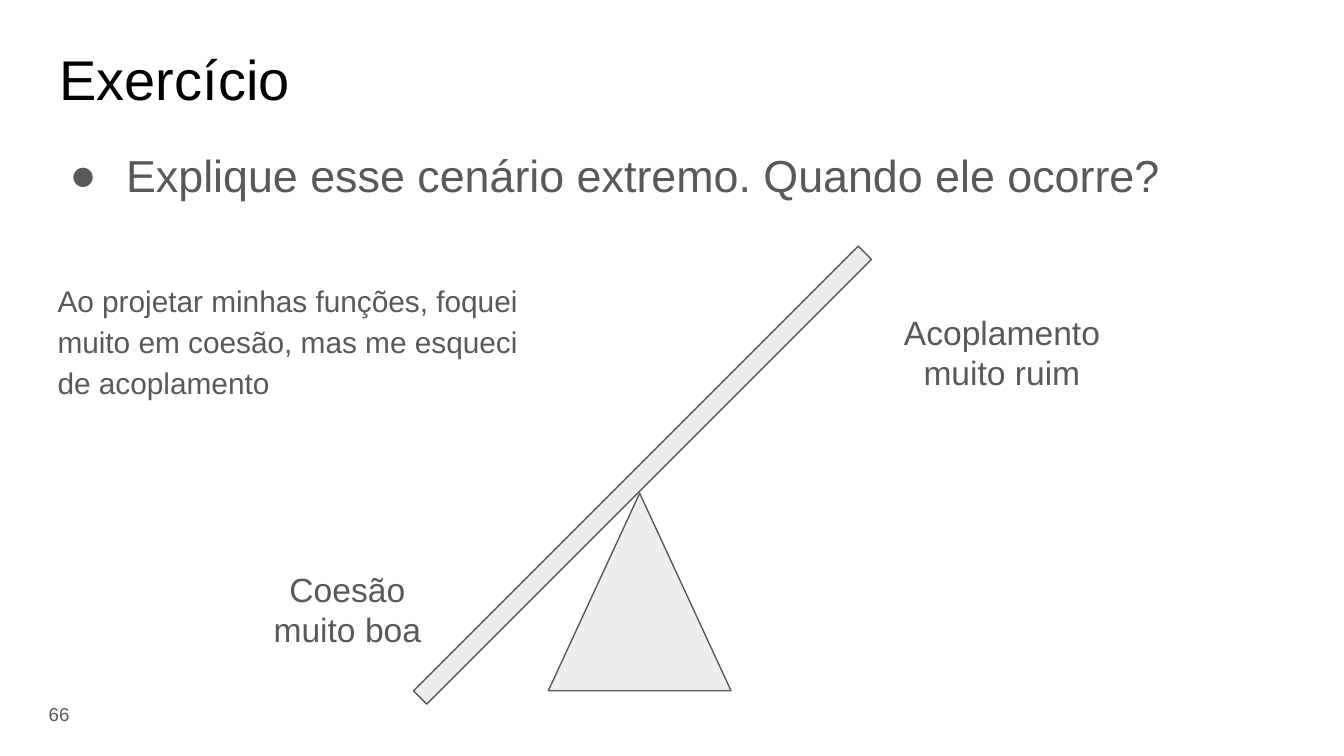
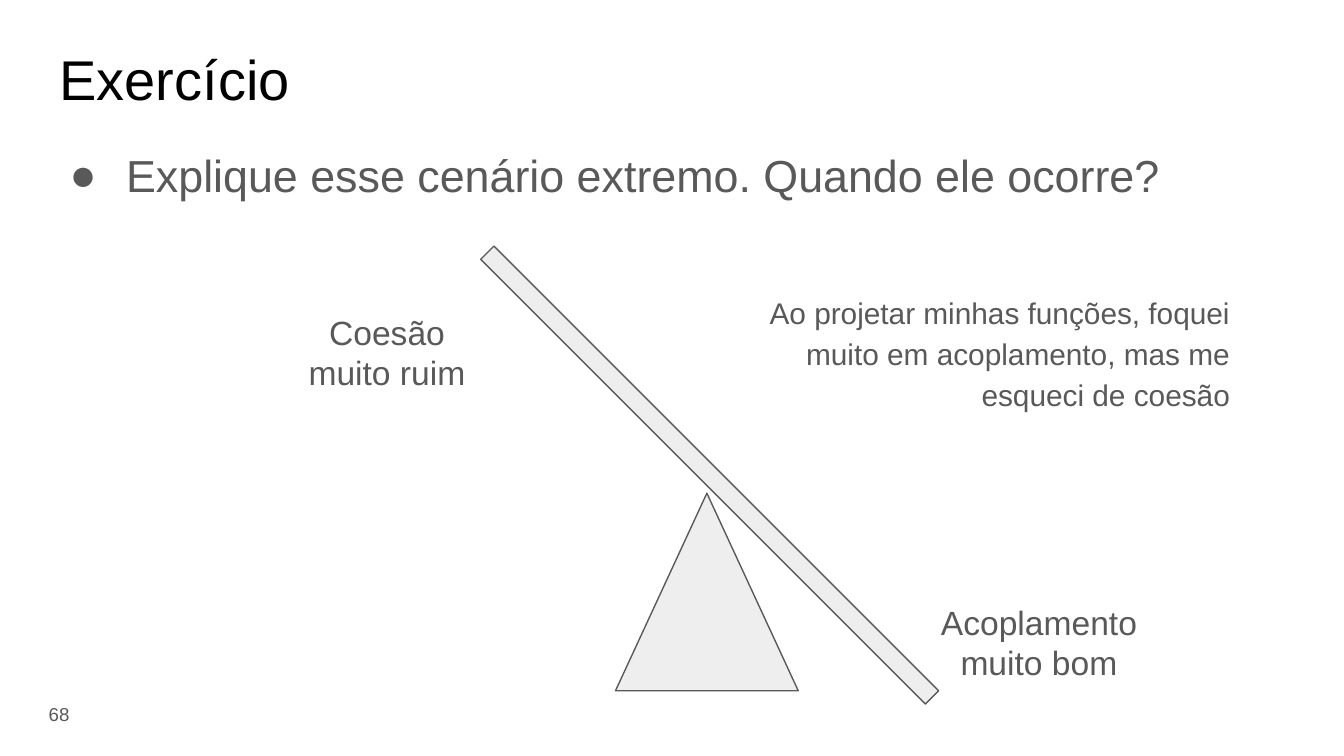
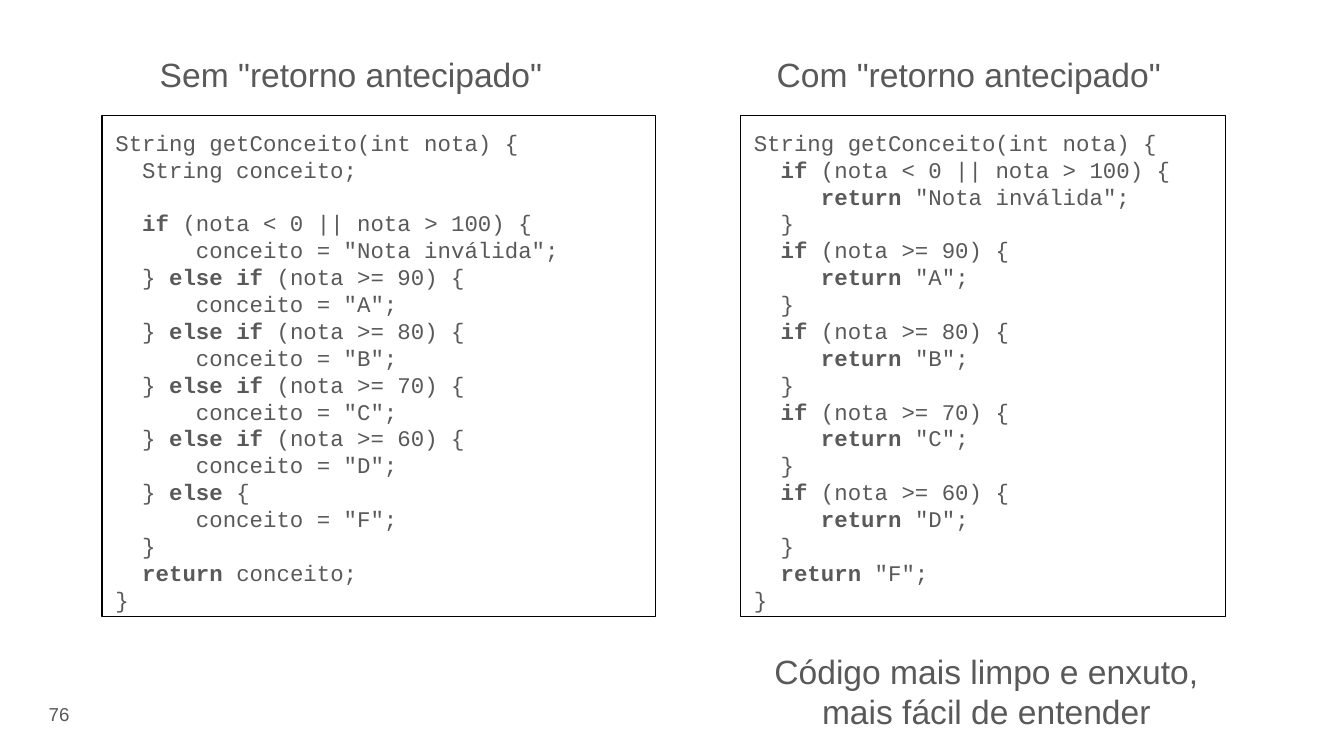
from lxml import etree
from pptx import Presentation
from pptx import util as u
from pptx.dml.color import RGBColor
from pptx.enum import shapes, text
from pptx.oxml.ns import qn

INK = RGBColor(0x59, 0x59, 0x59)
BLACK = RGBColor(0, 0, 0)
PALE = RGBColor(0xEE, 0xEE, 0xEE)
SANS, MONO = "Arial", "Courier New"
LEFT, CENTER, RIGHT = text.PP_ALIGN.LEFT, text.PP_ALIGN.CENTER, text.PP_ALIGN.RIGHT
TOP, MIDDLE = text.MSO_ANCHOR.TOP, text.MSO_ANCHOR.MIDDLE
CELL = u.Inches(0.1)
COLUMNS, ROWS = 100, 56.25
GRADES = [(90, "A"), (80, "B"), (70, "C"), (60, "D")]


def cells(*counts):
    return [u.Emu(round(count * CELL)) for count in counts]


def write(box, words, size=18, font=SANS, color=INK, align=LEFT, spacing=1.0,
          anchor=TOP, bullet=None):
    """Fill a box with lines of text, where *stars* mark bold spans."""
    frame = box.text_frame
    frame.word_wrap = True
    frame.vertical_anchor = anchor
    frame.margin_left = frame.margin_right = CELL
    frame.margin_top = frame.margin_bottom = CELL
    for index, line in enumerate(words.split("\n")):
        para = frame.paragraphs[0] if index == 0 else frame.add_paragraph()
        para.alignment, para.line_spacing = align, spacing
        if bullet:
            layout = para._p.get_or_add_pPr()
            layout.set("marL", str(u.Inches(0.5)))
            layout.set("indent", str(-u.Inches(0.42)))
            tint = etree.SubElement(layout, qn("a:buClr"))
            etree.SubElement(tint, qn("a:srgbClr"), val=str(color))
            etree.SubElement(layout, qn("a:buFont"), typeface=font)
            etree.SubElement(layout, qn("a:buChar"), char=bullet)
        for place, part in enumerate(line.split("*")):
            if part:
                span = para.add_run()
                span.text = part
                span.font.name, span.font.size = font, u.Pt(size)
                span.font.color.rgb = color
                span.font.bold = place % 2 == 1
        if not line:
            etree.SubElement(para._p, qn("a:endParaRPr"), sz=str(size * 100))


class Lesson:
    """Hold the deck, its shared style and the current page."""

    def __init__(self):
        self.deck = Presentation()
        self.deck.slide_width, self.deck.slide_height = cells(COLUMNS, ROWS)
        self.page = None

    def start(self, number):
        self.page = self.deck.slides.add_slide(self.deck.slide_layouts[6])
        self.label((0.15, 51, 6, 4.3), str(number), size=10, align=RIGHT, anchor=MIDDLE)

    def label(self, area, words, **style):
        write(self.page.shapes.add_textbox(*cells(*area)), words, **style)

    def shape(self, kind, area, fill=None, line=INK, turn=0):
        shape = self.page.shapes.add_shape(kind, *cells(*area))
        shape.shadow.inherit = False
        shape.rotation = turn
        if fill is None:
            shape.fill.background()
        else:
            shape.fill.solid()
            shape.fill.fore_color.rgb = fill
        shape.line.color.rgb, shape.line.width = line, u.Pt(0.75)
        return shape

    def exercise(self, number):
        self.start(number)
        self.label((3.45, 1.55, 93.2, 6.3), "Exercício", size=30, color=BLACK, spacing=1.15)
        self.label((3.4, 9.4, 93.2, 7.7), "Explique esse cenário extremo. Quando ele ocorre?",
                   size=24, spacing=1.15, bullet="●")

    def seesaw(self, pivot, turn):
        kinds = shapes.MSO_SHAPE
        self.shape(kinds.ISOSCELES_TRIANGLE, (pivot - 6.8, 36.7, 13.6, 14.7), PALE)
        self.shape(kinds.RECTANGLE, (pivot - 23.2, 34.65, 46.8, 1.4), PALE, turn=turn)

    def story(self, left, top, words, align=LEFT):
        self.label((left, top, 38.3, 10.9), words, size=16, spacing=1.15, align=align)

    def verdict(self, left, top, width, words):
        self.label((left, top, width, 8.1), words, align=CENTER)

    def code(self, left, width, lines):
        box = self.shape(shapes.MSO_SHAPE.RECTANGLE, (left, 8.6, width, 37.3), line=BLACK)
        write(box, "\n".join(lines), size=12, font=MONO)

    def heading(self, left, words):
        self.label((left, 3, 34.8, 5), words)


def single_return():
    lines = ["String getConceito(int nota) {", "  String conceito;", "",
             "  *if* (nota < 0 || nota > 100) {", '      conceito = "Nota inválida";']
    for limit, grade in GRADES:
        lines += [f"  }} *else if* (nota >= {limit}) {{", f'      conceito = "{grade}";']
    return lines + ["  } *else* {", '      conceito = "F";', "  }",
                    "  *return* conceito;", "}"]


def early_return():
    lines = ["String getConceito(int nota) {"]
    cases = [("< 0 || nota > 100", "Nota inválida")]
    cases += [(f">= {limit}", grade) for limit, grade in GRADES]
    for test, result in cases:
        lines += [f"  *if* (nota {test}) {{", f'     *return* "{result}";', "  }"]
    return lines + ['  *return* "F";', "}"]


def main():
    lesson = Lesson()

    lesson.exercise(66)
    lesson.seesaw(47.6, 135)
    lesson.verdict(18.3, 41.3, 15.1, "Coesão\nmuito boa")
    lesson.verdict(65.3, 22.2, 18.5, "Acoplamento\nmuito ruim")
    lesson.story(3.3, 19.6, "Ao projetar minhas funções, foquei muito em coesão, "
                 "mas me esqueci de acoplamento")

    lesson.exercise(68)
    lesson.seesaw(52.6, 45)
    lesson.verdict(20.8, 22.2, 16, "Coesão\nmuito ruim")
    lesson.verdict(68.7, 43.8, 17.2, "Acoplamento\nmuito bom")
    lesson.story(54.2, 20.5, "Ao projetar minhas funções, foquei muito em acoplamento, "
                 "mas me esqueci de coesão", align=RIGHT)

    lesson.start(76)
    lesson.code(7.6, 41.2, single_return())
    lesson.code(55.1, 36.1, early_return())
    lesson.heading(10.9, 'Sem "retorno antecipado"')
    lesson.heading(56.8, 'Com "retorno antecipado"')
    lesson.verdict(55.6, 47.4, 35.6, "Código mais limpo e enxuto, mais fácil de entender")

    lesson.deck.save("out.pptx")


if __name__ == "__main__":
    main()
